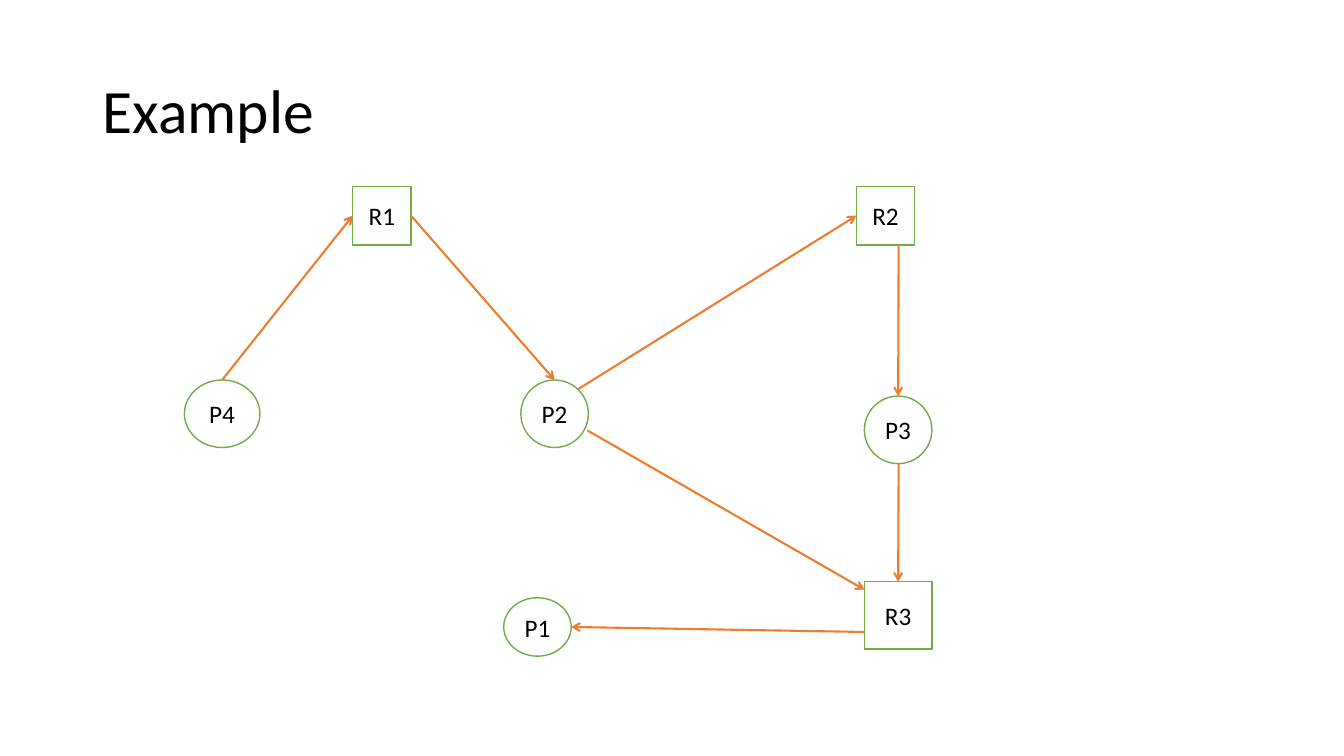
from pptx import Presentation
from pptx.dml.color import RGBColor
from pptx.enum.shapes import MSO_CONNECTOR, MSO_SHAPE
from pptx.enum.text import MSO_ANCHOR, PP_ALIGN
from pptx.oxml.ns import qn
from pptx.util import Pt
from lxml import etree

PX = 9144  # one px is a hundredth of an inch
OVAL, RECT = MSO_SHAPE.OVAL, MSO_SHAPE.RECTANGLE
LINE = MSO_CONNECTOR.STRAIGHT
MIDDLE, CENTER = MSO_ANCHOR.MIDDLE, PP_ALIGN.CENTER
TOP, LEFT, RIGHT = 0, 1, 3
FONT, BLACK, WHITE, GREEN, ORANGE = "Calibri", "000000", "FFFFFF", "70AD47", "ED7D31"

# Name, left, top, width, height within the graph box
NODES = [
    ("P4", 0, 192, 75, 67),
    ("P3", 675, 208, 67, 67),
    ("P1", 317, 408, 67, 58),
    ("P2", 334, 192, 67, 67),
    ("R1", 167, 0, 58, 58),
    ("R3", 675, 392, 67, 67),
    ("R2", 667, 0, 58, 58),
]

# Each end is a node with its side, or a point within the graph box
EDGES = [
    (("P4", TOP), ("R1", LEFT)),
    (("R1", RIGHT), ("P2", TOP)),
    ((391, 201), ("R2", LEFT)),
    ((709, 58), ("P3", TOP)),
    ((709, 275), ("R3", TOP)),
    ((400, 242), (675, 400)),
    ((675, 442), (384, 437)),
]


def px(*vals):
    return [val * PX for val in vals]


def color(code):
    return RGBColor.from_string(code)


def add_run(para, text, size):
    run = para.add_run()
    run.text = text
    run.font.name = FONT
    run.font.size = Pt(size)
    run.font.color.rgb = color(BLACK)


def add_title(slide, box, text):
    frame = slide.shapes.add_textbox(*px(*box)).text_frame
    frame.word_wrap = True
    frame.vertical_anchor = MIDDLE
    para = frame.paragraphs[0]
    para.line_spacing = 0.9
    add_run(para, text, 44)


def add_node(slide, box, name):
    # Processes are round, resources are square
    kind = OVAL if name.startswith("P") else RECT
    node = slide.shapes.add_shape(kind, *px(*box))
    node.shadow.inherit = False
    node.fill.solid()
    node.fill.fore_color.rgb = color(WHITE)
    node.line.color.rgb = color(GREEN)
    node.line.width = Pt(1)
    frame = node.text_frame
    frame.word_wrap = False
    frame.vertical_anchor = MIDDLE
    para = frame.paragraphs[0]
    para.alignment = CENTER
    add_run(para, name, 18)
    return node


def add_edge(slide, left, top, nodes, start, stop):
    edge = slide.shapes.add_connector(LINE, 0, 0, 0, 0)
    edge.line.color.rgb = color(ORANGE)
    edge.line.width = Pt(1.5)
    # Arrowhead, then no shadow
    tip = etree.SubElement(edge.line._get_or_add_ln(), qn("a:tailEnd"))
    tip.set("type", "arrow")
    etree.SubElement(edge._element.spPr, qn("a:effectLst"))
    # Free ends
    if start[0] not in nodes:
        edge.begin_x, edge.begin_y = px(left + start[0], top + start[1])
    if stop[0] not in nodes:
        edge.end_x, edge.end_y = px(left + stop[0], top + stop[1])
    # Joined ends
    if start[0] in nodes:
        edge.begin_connect(nodes[start[0]], start[1])
    if stop[0] in nodes:
        edge.end_connect(nodes[stop[0]], stop[1])


def add_graph(slide, left, top):
    nodes = {}
    for name, x, y, wide, high in NODES:
        nodes[name] = add_node(slide, (left + x, top + y, wide, high), name)
    for start, stop in EDGES:
        add_edge(slide, left, top, nodes, start, stop)


def main():
    deck = Presentation()
    deck.slide_width, deck.slide_height = px(1334, 750)
    slide = deck.slides.add_slide(deck.slide_layouts[6])
    add_title(slide, (92, 40, 1150, 145), "Example")
    add_graph(slide, 183, 185)
    deck.save("out.pptx")


if __name__ == "__main__":
    main()
